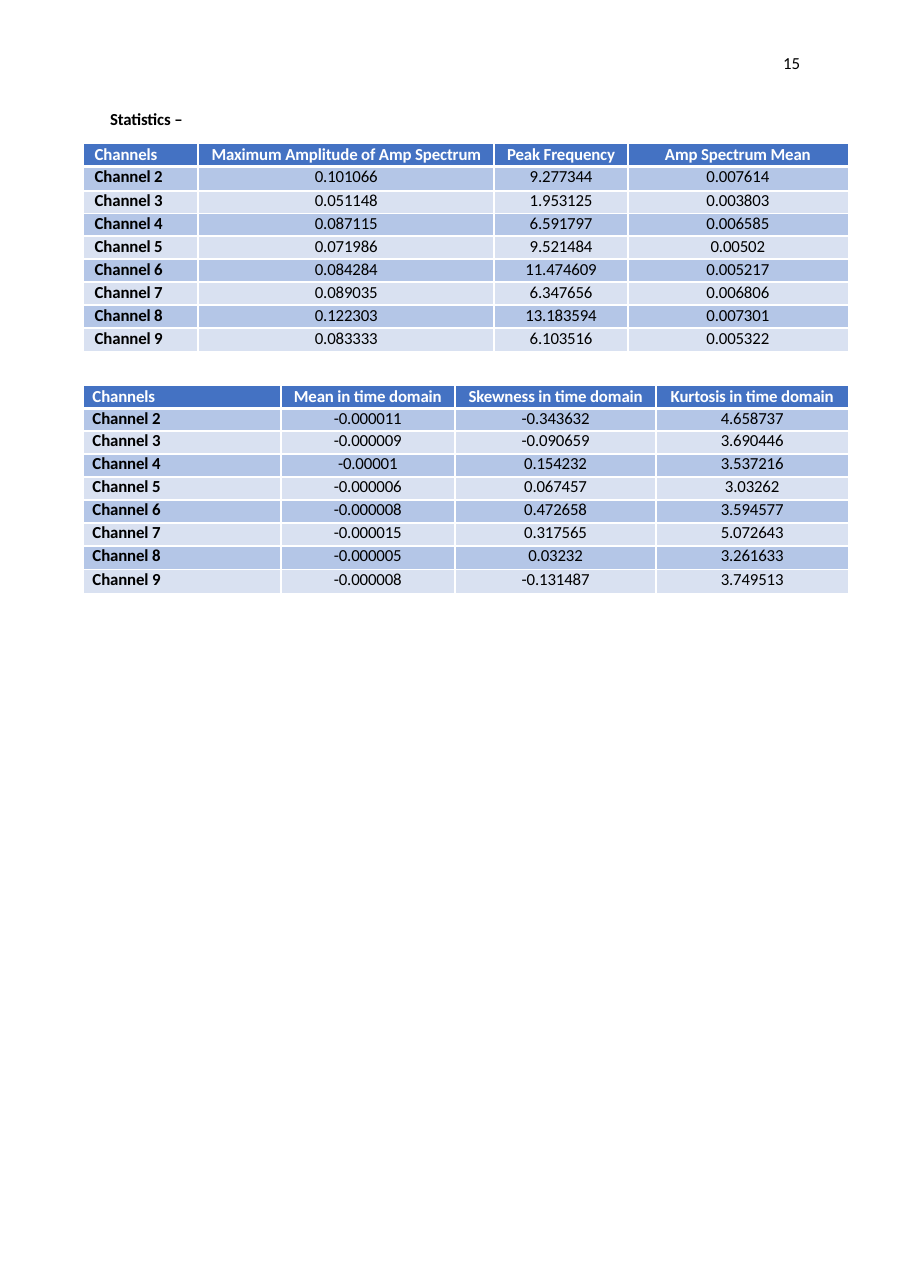
from lxml import etree
from pptx import Presentation
from pptx import util as u
from pptx.dml.color import RGBColor
from pptx.enum import text
from pptx.oxml.ns import qn

COLORS = {"header": "4472C3", "dark": "B4C6E7", "light": "D9E1F1",
          "white": "FFFFFF", "black": "000000"}
NO_STYLE = "{2D5ABB26-0587-4C30-8999-92F81FD0307C}"
TABLE_LEFT, TABLE_WIDTH, TABLE_HEIGHT = 0.76, 6.94, 1.88

SPECTRUM = [
    ("Channels", "Maximum Amplitude of Amp Spectrum", "Peak Frequency", "Amp Spectrum Mean"),
    ("Channel 2", "0.101066", "9.277344", "0.007614"),
    ("Channel 3", "0.051148", "1.953125", "0.003803"),
    ("Channel 4", "0.087115", "6.591797", "0.006585"),
    ("Channel 5", "0.071986", "9.521484", "0.00502"),
    ("Channel 6", "0.084284", "11.474609", "0.005217"),
    ("Channel 7", "0.089035", "6.347656", "0.006806"),
    ("Channel 8", "0.122303", "13.183594", "0.007301"),
    ("Channel 9", "0.083333", "6.103516", "0.005322"),
]
TIME_DOMAIN = [
    ("Channels", "Mean in time domain", "Skewness in time domain", "Kurtosis in time domain"),
    ("Channel 2", "-0.000011", "-0.343632", "4.658737"),
    ("Channel 3", "-0.000009", "-0.090659", "3.690446"),
    ("Channel 4", "-0.00001", "0.154232", "3.537216"),
    ("Channel 5", "-0.000006", "0.067457", "3.03262"),
    ("Channel 6", "-0.000008", "0.472658", "3.594577"),
    ("Channel 7", "-0.000015", "0.317565", "5.072643"),
    ("Channel 8", "-0.000005", "0.03232", "3.261633"),
    ("Channel 9", "-0.000008", "-0.131487", "3.749513"),
]


def rgb(name):
    return RGBColor.from_string(COLORS[name])


def add_span(para, words, color="black", bold=False, spacing=-0.1):
    span = para.add_run()
    span.text = words
    font = span.font
    font.name, font.size, font.bold = "Calibri", u.Pt(11), bold
    font.color.rgb = rgb(color)
    span._r.get_or_add_rPr().set("spc", str(round(spacing * 100)))


def indent(para, inches):
    props = para._p.get_or_add_pPr()
    props.set("marL", str(u.Inches(inches)))
    props.set("indent", "0")


def add_label(page, left, top, width, spans, bold=False):
    """Add a one-line box; spans are (words, letter spacing) pairs."""
    box = page.shapes.add_textbox(u.Inches(left), u.Inches(top), u.Inches(width), u.Inches(0.21))
    frame = box.text_frame
    frame.word_wrap = True
    frame.margin_left = frame.margin_right = frame.margin_bottom = 0
    frame.margin_top = u.Inches(0.01)
    para = frame.paragraphs[0]
    para.space_before = u.Pt(1)
    indent(para, 0.01)
    for words, spacing in spans:
        add_span(para, words, bold=bold, spacing=spacing)


def add_border(cell, side, points):
    line = etree.SubElement(cell._tc.get_or_add_tcPr(), qn("a:ln" + side), w=str(u.Pt(points)))
    fill = etree.SubElement(line, qn("a:solidFill"))
    etree.SubElement(fill, qn("a:srgbClr"), val=COLORS["white"])


def add_inner_borders(cell, row, column, last_row, last_column):
    if column > 0:
        add_border(cell, "L", 1.5)
    if column < last_column:
        add_border(cell, "R", 1.5)
    if row > 0:
        add_border(cell, "T", 2.25 if row == 1 else 1.5)
    if row < last_row:
        add_border(cell, "B", 2.25 if row == 0 else 1.5)


def fill_cell(cell, words, row, column, name_indent, line_height):
    header = row == 0
    cell.fill.solid()
    cell.fill.fore_color.rgb = rgb("header" if header else "dark" if row % 2 else "light")
    cell.margin_left = cell.margin_right = cell.margin_bottom = 0
    cell.margin_top = u.Inches(0.01)
    para = cell.text_frame.paragraphs[0]
    para.space_before = u.Pt(0.5 if header else 1)
    para.line_spacing = u.Pt(13 if header else line_height)
    if column == 0:
        indent(para, name_indent)
    else:
        para.alignment = text.PP_ALIGN.CENTER
    add_span(para, words, "white" if header else "black", bold=header or column == 0)


def add_statistics(page, top, widths, heights, rows, name_indent, line_height):
    """Add a banded table; heights are those of the first two rows."""
    frame = page.shapes.add_table(len(rows), len(widths), u.Inches(TABLE_LEFT), u.Inches(top),
                                  u.Inches(TABLE_WIDTH), u.Inches(TABLE_HEIGHT))
    table = frame.table
    table._tbl.tblPr.find(qn("a:tableStyleId")).text = NO_STYLE
    for column, width in zip(table.columns, widths):
        column.width = u.Inches(width)
    rest = (TABLE_HEIGHT - sum(heights)) / (len(rows) - len(heights))
    for r, values in enumerate(rows):
        table.rows[r].height = u.Inches(heights[r] if r < len(heights) else rest)
        for c, words in enumerate(values):
            cell = table.cell(r, c)
            add_inner_borders(cell, r, c, len(rows) - 1, len(widths) - 1)
            fill_cell(cell, words, r, c, name_indent, line_height)


def main():
    deck = Presentation()
    deck.slide_width, deck.slide_height = u.Inches(8.28), u.Inches(11.69)
    page = deck.slides.add_slide(deck.slide_layouts[6])
    add_statistics(page, 1.31, (1.04, 2.69, 1.21, 2), (0.2, 0.22), SPECTRUM, 0.1, 13)
    add_statistics(page, 3.5, (1.79, 1.58, 1.83, 1.74), (0.21, 0.2), TIME_DOMAIN, 0.08, 12.5)
    add_label(page, 7.1, 0.47, 0.18, [("1", -0.1), ("5", 0)])
    add_label(page, 0.99, 0.98, 0.7, [("Statistics ", -0.1), ("–", 0)], bold=True)
    deck.save("out.pptx")


if __name__ == "__main__":
    main()
